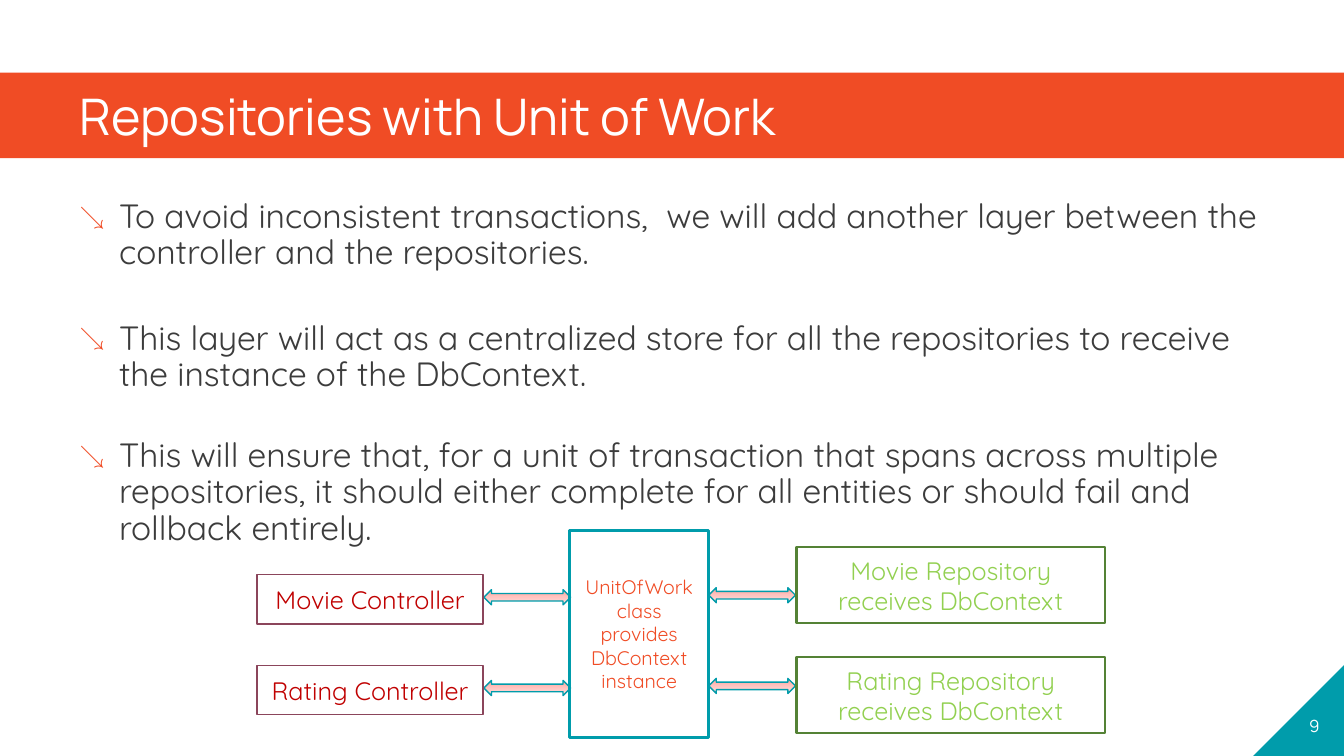
import copy
import typing

import lxml.etree
import pptx
import pptx.dml.color
import pptx.enum.shapes
import pptx.enum.text
import pptx.oxml.ns
import pptx.util

Inches = pptx.util.Inches
Pt = pptx.util.Pt
Shape = pptx.enum.shapes.MSO_SHAPE
Align = pptx.enum.text.PP_ALIGN
Anchor = pptx.enum.text.MSO_ANCHOR
qn = pptx.oxml.ns.qn

ORANGE, TEAL, WHITE, GREY = "F04C25", "009CAB", "FFFFFF", "3C3C3C"
WINE, RED, FOREST, GREEN = "8B455B", "C00000", "548235", "92D050"
ARROW_STOPS = {0: "FF9F97", 0.5: "FFC4C0", 1: "FFE2E0"}


class Area(typing.NamedTuple):
    left: float
    top: float
    width: float
    height: float


class Style(typing.NamedTuple):
    font: str
    size: float
    color: str


class Node(typing.NamedTuple):
    text: str
    area: Area
    outline: str
    weight: float
    style: Style


class Bullet(typing.NamedTuple):
    text: str
    before: float


CONTROLLER = Style("Quicksand", 18, RED)
REPOSITORY = Style("Quicksand", 18, GREEN)
UNIT = Style("Quicksand", 14, ORANGE)

BULLETS = [
    Bullet("To avoid inconsistent transactions,  we will add another layer "
           "between the controller and the repositories.", 0),
    Bullet("This layer will act as a centralized store for all the repositories "
           "to receive the instance of the DbContext.", 33),
    Bullet("This will ensure that, for a unit of transaction that spans across "
           "multiple repositories, it should either complete for all entities or "
           "should fail and rollback entirely.", 30),
]
NODES = [
    Node("Movie Controller", Area(2.55, 5.7, 2.24, 0.49), WINE, 1, CONTROLLER),
    Node("Rating Controller", Area(2.55, 6.6, 2.24, 0.49), WINE, 1, CONTROLLER),
    Node("Movie Repository receives DbContext",
         Area(7.9, 5.43, 3.06, 0.75), FOREST, 1.5, REPOSITORY),
    Node("Rating Repository\nreceives DbContext",
         Area(7.9, 6.52, 3.06, 0.75), FOREST, 1.5, REPOSITORY),
    Node("UnitOfWork\nclass\nprovides DbContext\ninstance",
         Area(5.65, 5.26, 1.38, 2.06), TEAL, 2.25, UNIT),
]
ARROWS = [Area(left, top + row * 0.9, 0.86, 0.15)
          for left, top in ((4.8, 5.85), (7.03, 5.83)) for row in range(2)]


def rgb(color: str) -> pptx.dml.color.RGBColor:
    return pptx.dml.color.RGBColor.from_string(color)


def assign(target, values: dict) -> None:
    for name, value in values.items():
        setattr(target, name, value)


def place(shape, area: Area) -> None:
    assign(shape, {name: Inches(value) for name, value in area._asdict().items()})


def frame_format(frame, margins: tuple, anchor, wrap: bool = True) -> None:
    """Set margins in the order left, top, right, bottom."""
    sides = ("margin_left", "margin_top", "margin_right", "margin_bottom")
    assign(frame, dict(zip(sides, map(Inches, margins))))
    assign(frame, {"auto_size": pptx.enum.text.MSO_AUTO_SIZE.NONE,
                   "vertical_anchor": anchor, "word_wrap": wrap})


def write(para, text: str, style: Style, align) -> None:
    para.text = text
    para.alignment = align
    for span in para.runs:
        assign(span.font, {"name": style.font, "size": Pt(style.size), "bold": False})
        span.font.color.rgb = rgb(style.color)
    for line_break in para._p.findall(qn("a:br")):
        line_break.append(copy.deepcopy(para.runs[0].font._element))


def add_bullet_mark(para) -> None:
    properties = para._p.get_or_add_pPr()
    properties.set("marL", str(Inches(0.39)))
    properties.set("indent", str(-Inches(0.39)))
    color = lxml.etree.SubElement(properties, qn("a:buClr"))
    lxml.etree.SubElement(color, qn("a:srgbClr"), val=ORANGE)
    lxml.etree.SubElement(properties, qn("a:buSzPct"), val="75000")
    lxml.etree.SubElement(properties, qn("a:buFont"), typeface="Quicksand")
    lxml.etree.SubElement(properties, qn("a:buChar"), char="↘")


def add_shape(page, kind, area: Area):
    shape = page.shapes.add_shape(kind, *map(Inches, area))
    shape.shadow.inherit = False
    return shape


def set_outline(shape, color: str, weight: float) -> None:
    shape.line.color.rgb = rgb(color)
    shape.line.width = Pt(weight)


def fill_title(title) -> None:
    place(title, Area(0, 0.72, 13.33, 0.85))
    title.fill.solid()
    title.fill.fore_color.rgb = rgb(ORANGE)
    frame_format(title.text_frame, (0.79, 0, 0.79, 0), Anchor.MIDDLE, False)
    write(title.text_frame.paragraphs[0], "Repositories with Unit of Work",
          Style("Manrope", 36, WHITE), Align.LEFT)


def fill_body(body) -> None:
    place(body, Area(0, 1.59, 13.33, 5.01))
    frame = body.text_frame
    frame_format(frame, (0.79, 0.39, 0.79, 0.39), Anchor.TOP)
    for index, bullet in enumerate(BULLETS):
        para = frame.add_paragraph() if index else frame.paragraphs[0]
        add_bullet_mark(para)
        assign(para, {"level": 1, "line_spacing": 0.9,
                      "space_before": Pt(bullet.before), "space_after": Pt(2)})
        write(para, bullet.text, Style("Quicksand", 24, GREY), Align.LEFT)


def add_node(page, node: Node) -> None:
    box = add_shape(page, Shape.RECTANGLE, node.area)
    box.fill.background()
    set_outline(box, node.outline, node.weight)
    frame_format(box.text_frame, (0.1, 0.05, 0.1, 0.05), Anchor.MIDDLE)
    write(box.text_frame.paragraphs[0], node.text, node.style, Align.CENTER)


def add_arrow(page, area: Area) -> None:
    arrow = add_shape(page, Shape.LEFT_RIGHT_ARROW, area)
    set_outline(arrow, TEAL, 1)
    arrow.fill.gradient()
    arrow.fill.gradient_angle = 270
    first = arrow.fill.gradient_stops[0]._gs
    first.addnext(copy.deepcopy(first))
    for stop, (position, color) in zip(arrow.fill.gradient_stops, ARROW_STOPS.items()):
        stop.position = position
        stop.color.rgb = rgb(color)


def add_page_number(page) -> None:
    corner = add_shape(page, Shape.RIGHT_TRIANGLE, Area(12.43, 6.59, 0.91, 0.91))
    corner._element.spPr.xfrm.set("flipH", "1")
    corner.fill.solid()
    corner.fill.fore_color.rgb = rgb(TEAL)
    corner.line.fill.background()
    frame_format(corner.text_frame, (0, 0, 0, 0.12), Anchor.BOTTOM, False)
    write(corner.text_frame.paragraphs[0], "9", Style("Manrope", 12, WHITE), Align.CENTER)


def main() -> None:
    deck = pptx.Presentation()
    assign(deck, {"slide_width": Inches(13.33), "slide_height": Inches(7.5)})
    page = deck.slides.add_slide(deck.slide_layouts[1])
    fill_title(page.shapes.title)
    fill_body(page.placeholders[1])
    for area in ARROWS:
        add_arrow(page, area)
    for node in NODES:
        add_node(page, node)
    add_page_number(page)
    deck.save("out.pptx")


if __name__ == "__main__":
    main()
